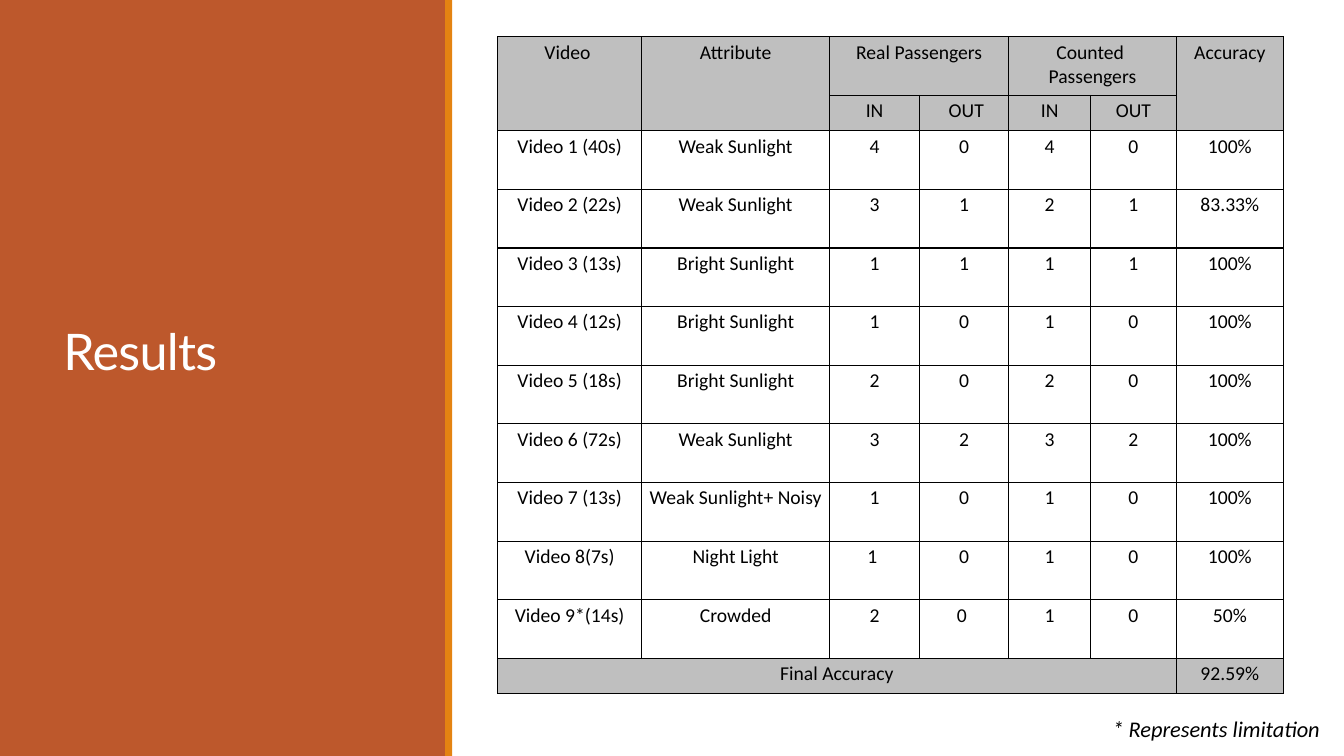
"""Build the passenger counting results slide."""
from lxml import etree
from pptx import Presentation
from pptx.dml.color import RGBColor
from pptx.enum.shapes import MSO_SHAPE
from pptx.enum.text import MSO_ANCHOR, MSO_AUTO_SIZE, PP_ALIGN
from pptx.oxml.ns import qn
from pptx.util import Pt

RECTANGLE = MSO_SHAPE.RECTANGLE
MIDDLE = MSO_ANCHOR.MIDDLE
FIT_SHAPE = MSO_AUTO_SIZE.SHAPE_TO_FIT_TEXT
NO_FIT = MSO_AUTO_SIZE.NONE
LEFT, CENTER, RIGHT = PP_ALIGN.LEFT, PP_ALIGN.CENTER, PP_ALIGN.RIGHT

COLORS = {"panel": "BD582C", "stripe": "E48312", "header": "BFBFBF",
          "text": "000000", "title": "FFFFFF"}

COLUMN_WIDTHS = [102.9, 134.3, 64.1, 63.8, 58.5, 61.1, 76.8]
TALL_ROW, SHORT_ROW = 41.9, 25.1
HEADER_ROWS = [
    ["Video ", "Attribute", "Real Passengers", "", "Counted \nPassengers", "", "Accuracy"],
    ["", "", "IN", " OUT", "IN", "OUT", ""],
]
VIDEO_ROWS = [
    ["Video 1 (40s)", "Weak Sunlight", "4", "0", "4", "0", "100%"],
    ["Video 2 (22s)", "Weak Sunlight", "3", "1", "2", "1", "83.33%"],
    ["Video 3 (13s)", "Bright Sunlight", "1", "1", "1", "1", "100%"],
    ["Video 4 (12s)", "Bright Sunlight", "1", "0", "1", "0", "100%"],
    ["Video 5 (18s)", "Bright Sunlight", "2", "0", "2", "0", "100%"],
    ["Video 6 (72s)", "Weak Sunlight", "3", "2", "3", "2", "100%"],
    ["Video 7 (13s)", "Weak Sunlight+ Noisy", "1", "0", "1", "0", "100%"],
    ["Video 8(7s)", "Night Light", "1 ", "0", "1", "0", "100%"],
    ["Video 9*(14s)", "Crowded", "2", "0 ", "1", "0", "50%"],
]
FINAL_ROW = ["Final Accuracy", "", "", "", "", "", "92.59%"]
MERGES = [((0, 0), (1, 0)), ((0, 1), (1, 1)), ((0, 2), (0, 3)),
          ((0, 4), (0, 5)), ((0, 6), (1, 6)), ((11, 0), (11, 5))]


def write(frame, text, size=14, font="Calibri", color="text", align=CENTER,
          italic=False, line_spacing=1.0):
    """Fill a text frame with one formatted paragraph per line of text."""
    for index, line in enumerate(text.split("\n")):
        para = frame.add_paragraph() if index else frame.paragraphs[0]
        para.alignment = align
        para.line_spacing = line_spacing
        para.font.size = Pt(size)
        if not line:
            continue
        span = para.add_run()
        span.text = line
        span.font.size = Pt(size)
        span.font.name = font
        span.font.italic = italic
        span.font.color.rgb = RGBColor.from_string(COLORS[color])


class SlideBuilder:
    """Hold the style and the current slide."""

    def __init__(self, page, border_width=1):
        """Keep the page and the width of table borders."""
        self.page = page
        self.border_width = border_width

    def title(self, text, left, top, width, height):
        """Place and format the title placeholder."""
        title = self.page.shapes.title
        title.left, title.top = Pt(left), Pt(top)
        title.width, title.height = Pt(width), Pt(height)
        frame = title.text_frame
        frame.word_wrap = True
        frame.auto_size = NO_FIT
        frame.vertical_anchor = MIDDLE
        write(frame, text, size=36, font="Lato", color="title", align=LEFT,
              line_spacing=0.85)
        for properties in title.element.iter(qn("a:rPr")):
            properties.set("spc", "-50")

    def panel(self, color, left, top, width, height):
        """Add a plain rectangle behind the title."""
        panel = self.page.shapes.add_shape(
            RECTANGLE, Pt(left), Pt(top), Pt(width), Pt(height))
        panel.shadow.inherit = False
        panel.fill.solid()
        panel.fill.fore_color.rgb = RGBColor.from_string(COLORS[color])
        panel.line.fill.background()
        self.page.shapes.title.element.addprevious(panel.element)

    def table(self, rows, shaded_rows, short_rows, left, top):
        """Add the bordered table with merged header cells."""
        heights = [SHORT_ROW if index in short_rows else TALL_ROW
                   for index in range(len(rows))]
        holder = self.page.shapes.add_table(
            len(rows), len(COLUMN_WIDTHS), Pt(left), Pt(top),
            Pt(sum(COLUMN_WIDTHS)), Pt(sum(heights)))
        table = holder.table
        table.first_row = table.horz_banding = False
        for column, width in zip(table.columns, COLUMN_WIDTHS):
            column.width = Pt(width)
        for row_index, values in enumerate(rows):
            table.rows[row_index].height = Pt(heights[row_index])
            for column_index, value in enumerate(values):
                cell = table.cell(row_index, column_index)
                cell.margin_left = cell.margin_right = Pt(5.4)
                cell.margin_top = cell.margin_bottom = Pt(2.7)
                if row_index in shaded_rows:
                    cell.fill.solid()
                    cell.fill.fore_color.rgb = RGBColor.from_string(COLORS["header"])
                else:
                    cell.fill.background()
                write(cell.text_frame, value)
        for start, end in MERGES:
            table.cell(*start).merge(table.cell(*end))
        for properties in holder.element.iter(qn("a:tcPr")):
            self.borders(properties)

    def borders(self, properties):
        """Draw all four borders of a table cell."""
        for index, side in enumerate(["lnL", "lnR", "lnT", "lnB"]):
            line = etree.Element(qn(f"a:{side}"), w=str(Pt(self.border_width)))
            fill = etree.SubElement(line, qn("a:solidFill"))
            etree.SubElement(fill, qn("a:srgbClr"), val=COLORS["text"])
            properties.insert(index, line)

    def note(self, text, left, top, width, height):
        """Add a right-aligned italic note."""
        box = self.page.shapes.add_textbox(Pt(left), Pt(top), Pt(width), Pt(height))
        box.text_frame.word_wrap = True
        box.text_frame.auto_size = FIT_SHAPE
        write(box.text_frame, text, size=16, align=RIGHT, italic=True)


def main():
    """Create the deck and save it."""
    deck = Presentation()
    deck.slide_width, deck.slide_height = Pt(960), Pt(540)
    builder = SlideBuilder(deck.slides.add_slide(deck.slide_layouts[5]))
    builder.panel("panel", 0, 0, 319, 540)
    builder.panel("stripe", 318, 0, 5, 540)
    builder.title("Results", 38, 26.5, 243, 454.5)
    builder.table(HEADER_ROWS + VIDEO_ROWS + [FINAL_ROW], shaded_rows={0, 1, 11},
                  short_rows={1, 11}, left=355.5, top=26.3)
    builder.note("* Represents limitation ", 397.5, 507, 556, 26.6)
    deck.save("out.pptx")


if __name__ == "__main__":
    main()
